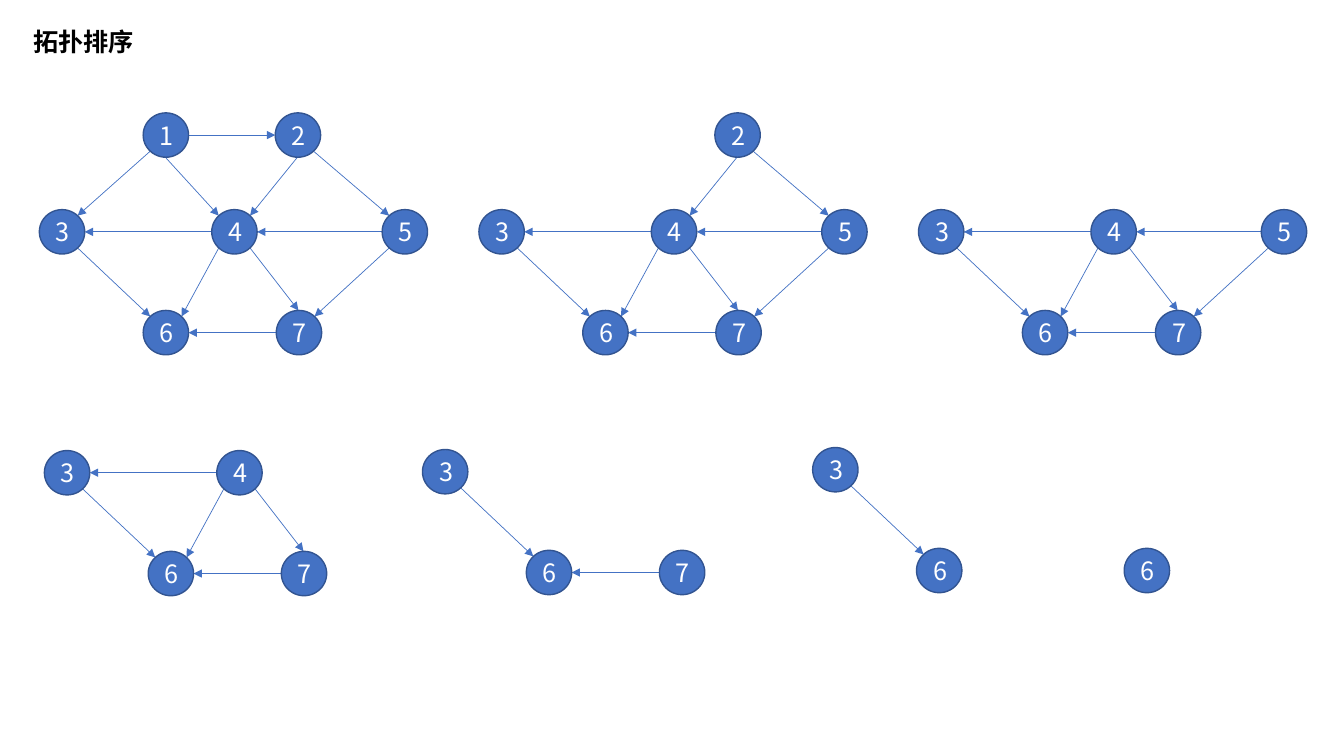
"""Draw the steps of a topological sort as a row of shrinking graphs."""
import dataclasses

import pptx
import pptx.dml.color
import pptx.enum.shapes
import pptx.enum.text
import pptx.oxml.ns
import pptx.util
from lxml import etree

SCALE = 9144
WIDE, HIGH = 45, 44

NODES = {
    1: (142, 112), 2: (273, 112),
    3: (39, 208), 4: (210, 208), 5: (379, 208),
    6: (142, 308), 7: (274, 308),
}
SITES = {
    "N": (22, 0), "NE": (38, 6), "E": (45, 22), "SE": (38, 38),
    "S": (22, 44), "SW": (7, 38), "W": (0, 22), "NW": (7, 6),
}
EDGES = [
    (1, "E", 2, "W"), (4, "SE", 7, "N"), (1, "S", 4, "NW"),
    (2, "S", 4, "NE"), (4, "SW", 6, "NE"), (4, "W", 3, "E"),
    (1, "SW", 3, "NE"), (3, "SE", 6, "NW"), (7, "W", 6, "E"),
    (5, "SW", 7, "NE"), (2, "SE", 5, "NW"), (5, "W", 4, "E"),
]
STEPS = [
    ((0, 0), (1, 2, 3, 4, 5, 6, 7)),
    ((436, 0), (2, 3, 4, 5, 6, 7)),
    ((872, 0), (3, 4, 5, 6, 7)),
    ((5, 239), (3, 4, 6, 7)),
    ((380, 238), (3, 6, 7)),
    ((767, 236), (3, 6)),
    ((973, 236), (6,)),
]


@dataclasses.dataclass(frozen=True)
class Theme:
    face: str = "Noto Sans CJK SC"
    size: int = 18
    rim: float = 1
    edge: float = 0.5
    blue: str = "4472C4"
    navy: str = "325491"
    white: str = "FFFFFF"
    black: str = "000000"


def px(num):
    return pptx.util.Emu(num * SCALE)


def rgb(code):
    return pptx.dml.color.RGBColor.from_string(code)


def apply(item, form):
    for key, value in form.items():
        setattr(item, key, value)


class Board:
    def __init__(self, slide, theme):
        self.slide = slide
        self.theme = theme

    def label(self, frame, text, color, align, form, bold=False):
        apply(frame, form)
        para = frame.paragraphs[0]
        para.alignment = align
        run = para.add_run()
        run.text = text
        apply(run.font, {
            "name": self.theme.face,
            "size": pptx.util.Pt(self.theme.size),
            "bold": bold,
        })
        run.font.color.rgb = rgb(color)
        latin = run.font._element.find(pptx.oxml.ns.qn("a:latin"))
        asian = etree.Element(pptx.oxml.ns.qn("a:ea"), typeface=self.theme.face)
        latin.addnext(asian)

    def stroke(self, line, color, width):
        line.color.rgb = rgb(color)
        line.width = pptx.util.Pt(width)

    def title(self, text, left, top, width, height):
        head = self.slide.shapes.title
        apply(head, {
            "left": px(left), "top": px(top),
            "width": px(width), "height": px(height),
        })
        self.label(head.text_frame, text, self.theme.black,
                   pptx.enum.text.PP_ALIGN.LEFT, {
                       "word_wrap": False,
                       "auto_size": pptx.enum.text.MSO_AUTO_SIZE.SHAPE_TO_FIT_TEXT,
                       "vertical_anchor": pptx.enum.text.MSO_ANCHOR.TOP,
                   }, bold=True)

    def node(self, name, left, top):
        disc = self.slide.shapes.add_shape(
            pptx.enum.shapes.MSO_SHAPE.OVAL,
            px(left), px(top), px(WIDE), px(HIGH))
        disc.shadow.inherit = False
        disc.fill.solid()
        disc.fill.fore_color.rgb = rgb(self.theme.blue)
        self.stroke(disc.line, self.theme.navy, self.theme.rim)
        self.label(disc.text_frame, str(name), self.theme.white,
                   pptx.enum.text.PP_ALIGN.CENTER,
                   {"vertical_anchor": pptx.enum.text.MSO_ANCHOR.MIDDLE})

    def arrow(self, start, end):
        link = self.slide.shapes.add_connector(
            pptx.enum.shapes.MSO_CONNECTOR.STRAIGHT,
            *(px(num) for num in start + end))
        self.stroke(link.line, self.theme.blue, self.theme.edge)
        props = link._element.spPr
        line = props.find(pptx.oxml.ns.qn("a:ln"))
        etree.SubElement(line, pptx.oxml.ns.qn("a:tailEnd"), type="triangle")
        etree.SubElement(props, pptx.oxml.ns.qn("a:effectLst"))

    def graph(self, shift, live):
        right, down = shift
        spots = {key: (NODES[key][0] + right, NODES[key][1] + down)
                 for key in live}

        def point(key, side):
            return tuple(a + b for a, b in zip(spots[key], SITES[side]))

        for tail, out, head, into in EDGES:
            if tail in live and head in live:
                self.arrow(point(tail, out), point(head, into))
        for key, spot in spots.items():
            self.node(key, *spot)


def main():
    deck = pptx.Presentation()
    apply(deck, {"slide_width": px(1333), "slide_height": px(750)})
    slide = deck.slides.add_slide(deck.slide_layouts[5])
    board = Board(slide, Theme())
    board.title("拓扑排序", 23, 21, 124, 40)
    for shift, live in STEPS:
        board.graph(shift, live)
    deck.save("out.pptx")


if __name__ == "__main__":
    main()
